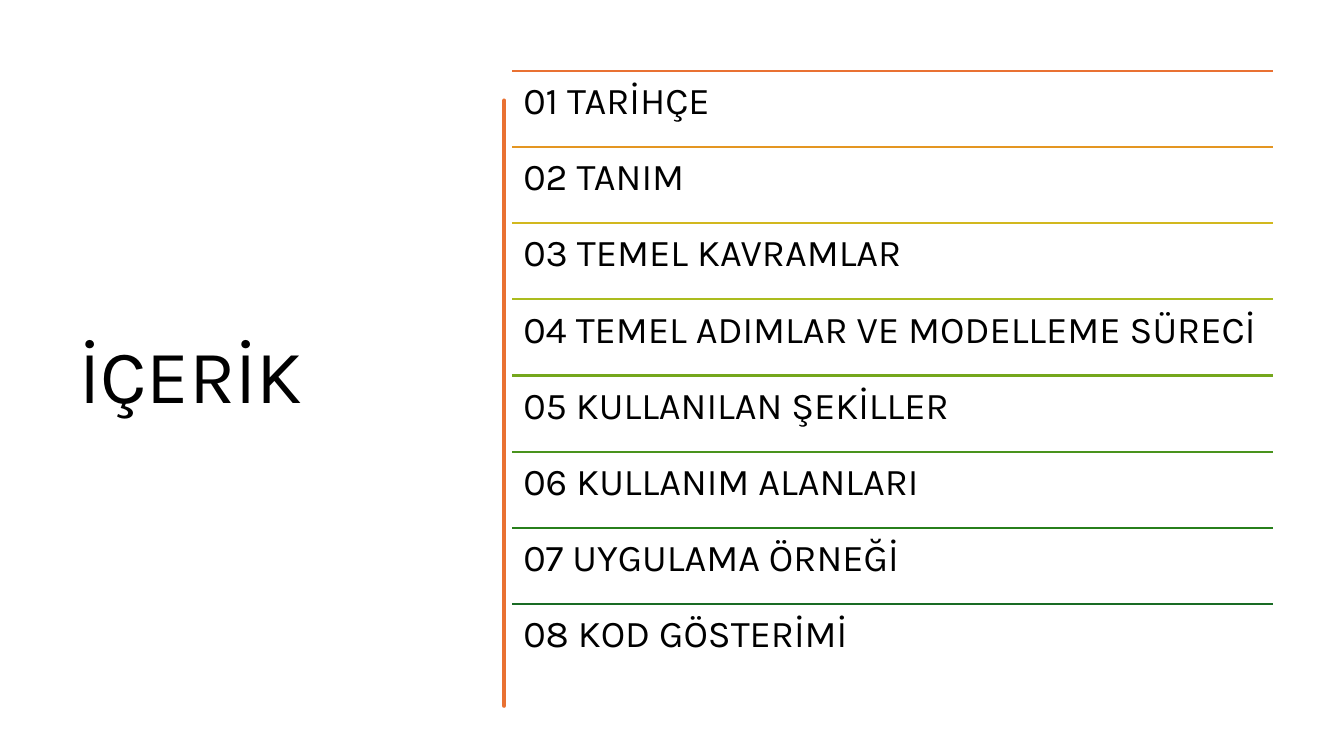
"""Build the contents slide: a title, a hand-drawn divider and eight ruled entries."""
import lxml.etree
import pptx
import pptx.dml.color
import pptx.enum.shapes
import pptx.enum.text
import pptx.oxml.ns
import pptx.util

Inches = pptx.util.Inches
COLORS = {"text": "000000", "divider": "E97132"}
ENTRIES = {
    "01 TARİHÇE": "E97132",
    "02 TANIM": "E49622",
    "03 TEMEL KAVRAMLAR": "D2B81E",
    "04 TEMEL ADIMLAR VE MODELLEME SÜRECİ": "ABBC1E",
    "05 KULLANILAN ŞEKİLLER": "75A71D",
    "06 KULLANIM ALANLARI": "49931D",
    "07 UYGULAMA ÖRNEĞİ": "277F1B",
    "08 KOD GÖSTERİMİ": "196B24",
}
LIST_LEFT, LIST_TOP, LIST_WIDTH, LIST_HEIGHT = 5.08, 0.7, 7.55, 6.05
ROW = LIST_HEIGHT / len(ENTRIES)
DIVIDER_TOP = 0.84
RIGHT_EDGE, LEFT_EDGE = 4.75, 4.73
RIGHT_WAVES = [(1.46, 0.02, 0.02), (2.26, -0.02, 0.01), (2.94, -0.01, 0),
               (3.56, -0.01, 0.02), (4.36, -0.02, 0.04), (5.1, -0.04, -0.03),
               (5.84, 0.02, 0.02), (6.76, -0.02, 0.01)]
LEFT_WAVES = [(6.13, 0.01, -0.02), (5.57, 0.01, 0.01), (4.77, 0, 0),
              (4.15, 0, -0.02), (3.35, 0.01, -0.01), (2.5, 0.01, -0.01),
              (1.81, 0.01, 0.02), (0.84, -0.03, 0.04)]
STEPS = 8


def add_text(page, place, text, size, margins, anchor):
    box = page.shapes.add_textbox(*[Inches(length) for length in place])
    frame_format = {"word_wrap": True, "vertical_anchor": anchor, **margins}
    for name, value in frame_format.items():
        setattr(box.text_frame, name, value)
    para = box.text_frame.paragraphs[0]
    para.line_spacing = 0.9
    span = para.add_run()
    span.text = text
    for name, value in {"name": "Karla", "size": pptx.util.Pt(size)}.items():
        setattr(span.font, name, value)
    span.font.color.rgb = pptx.dml.color.RGBColor.from_string(COLORS["text"])


def wavy_edge(edge, start, waves):
    points = []
    for end, first, second in waves:
        for step in range(1, STEPS + 1):
            t = step / STEPS
            bulge = 3 * t * (1 - t) * (first * (1 - t) + second * t)
            points.append((edge + bulge, start + (end - start) * t))
        start = end
    return points


deck = pptx.Presentation()
deck.slide_width, deck.slide_height = Inches(13.33), Inches(7.5)
page = deck.slides.add_slide(deck.slide_layouts[6])

anchors = pptx.enum.text.MSO_ANCHOR
add_text(page, (0.69, 0.7, 3.74, 6.11), "İÇERİK", 54, {}, anchors.MIDDLE)

right_points = wavy_edge(RIGHT_EDGE, DIVIDER_TOP, RIGHT_WAVES)
divider_bottom = RIGHT_WAVES[-1][0]
left_points = wavy_edge(LEFT_EDGE, divider_bottom, LEFT_WAVES)
builder = page.shapes.build_freeform(RIGHT_EDGE, DIVIDER_TOP, scale=Inches(1))
builder.add_line_segments(right_points + [(LEFT_EDGE, divider_bottom)] + left_points)
divider = builder.convert_to_shape()
divider.shadow.inherit = False
divider.fill.solid()
for paint in (divider.fill.fore_color, divider.line.color):
    paint.rgb = pptx.dml.color.RGBColor.from_string(COLORS["divider"])
divider.line.width = pptx.util.Pt(3.25)
outline = divider.element.spPr.find(pptx.oxml.ns.qn("a:ln"))
lxml.etree.SubElement(outline, pptx.oxml.ns.qn("a:round"))

margins = {f"margin_{side}": Inches(0.11) for side in ("left", "top", "right", "bottom")}
for index, (entry, color) in enumerate(ENTRIES.items()):
    top = LIST_TOP + index * ROW
    rule = page.shapes.add_connector(
        pptx.enum.shapes.MSO_CONNECTOR.STRAIGHT,
        Inches(LIST_LEFT), Inches(top), Inches(LIST_LEFT + LIST_WIDTH), Inches(top))
    rule.line.color.rgb = pptx.dml.color.RGBColor.from_string(color)
    rule.line.width = pptx.util.Pt(1.5)
    lxml.etree.SubElement(rule.element.spPr, pptx.oxml.ns.qn("a:effectLst"))
    add_text(page, (LIST_LEFT, top, LIST_WIDTH, ROW), entry, 27, margins, anchors.TOP)

deck.save("out.pptx")
